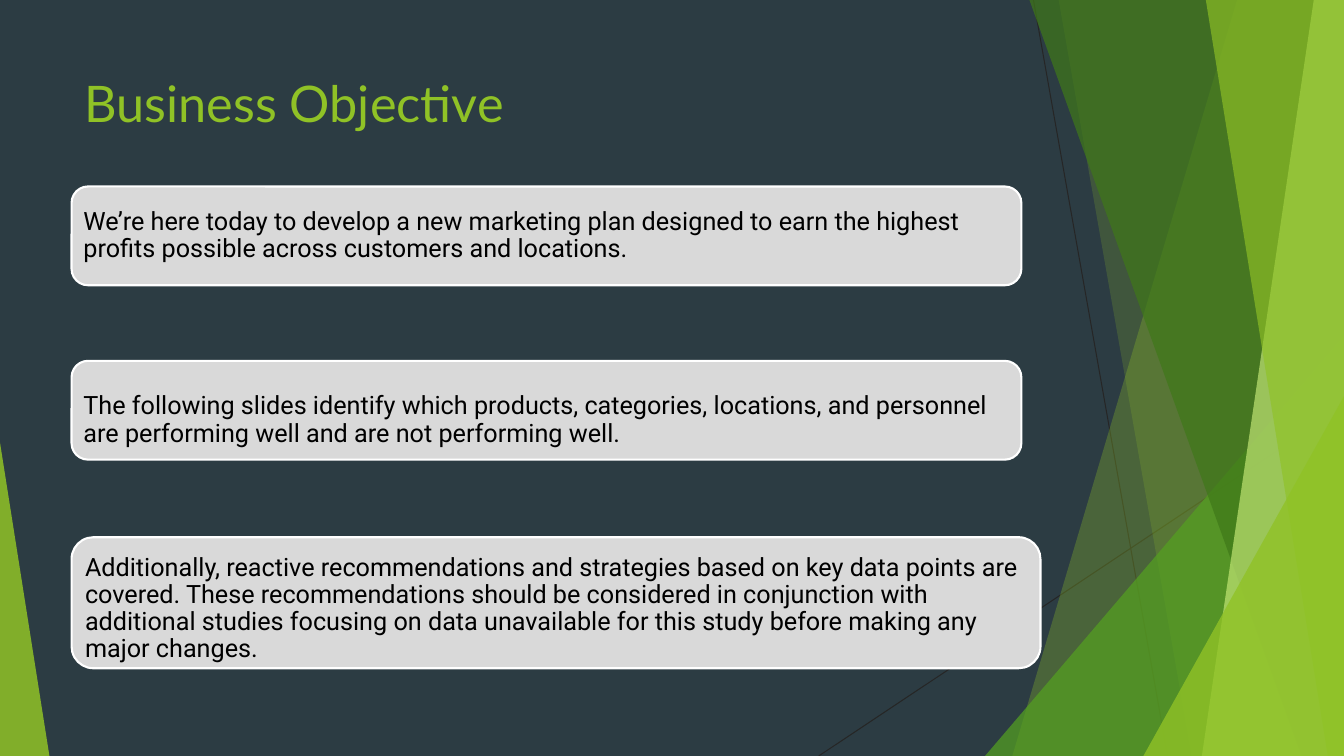
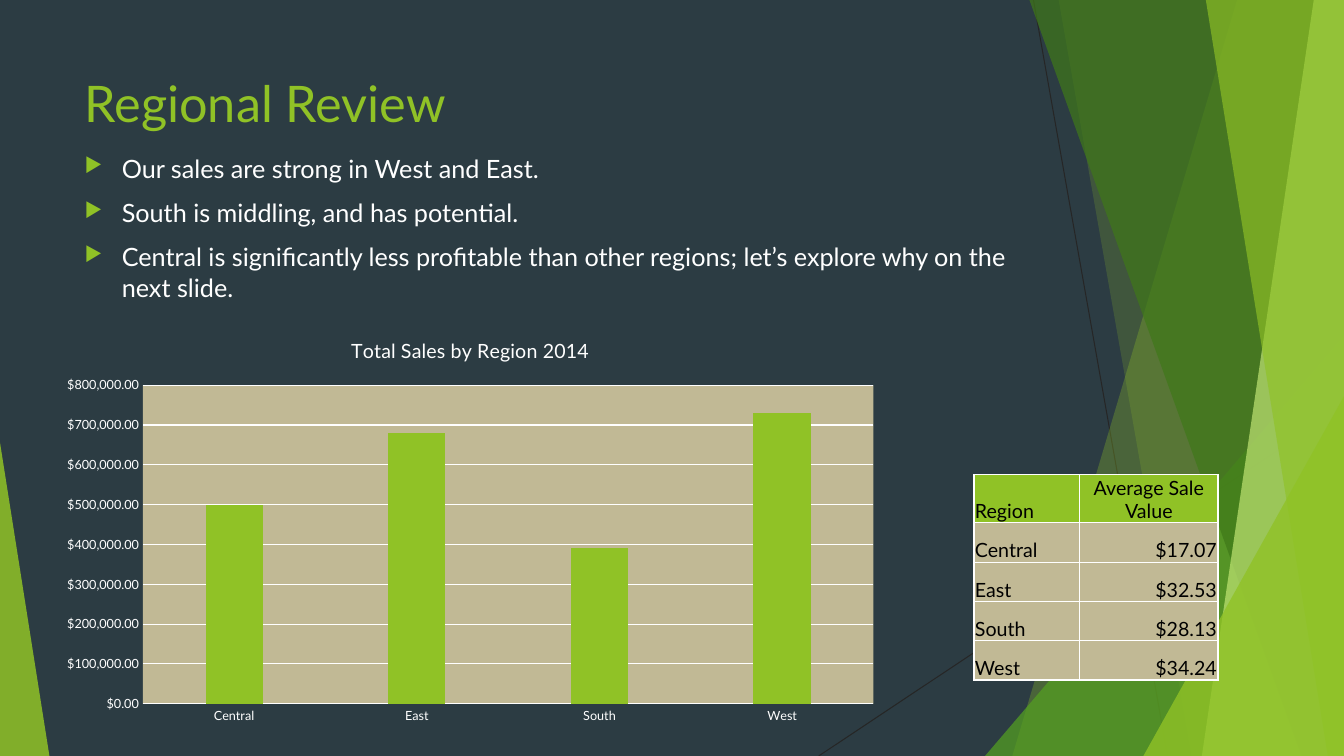
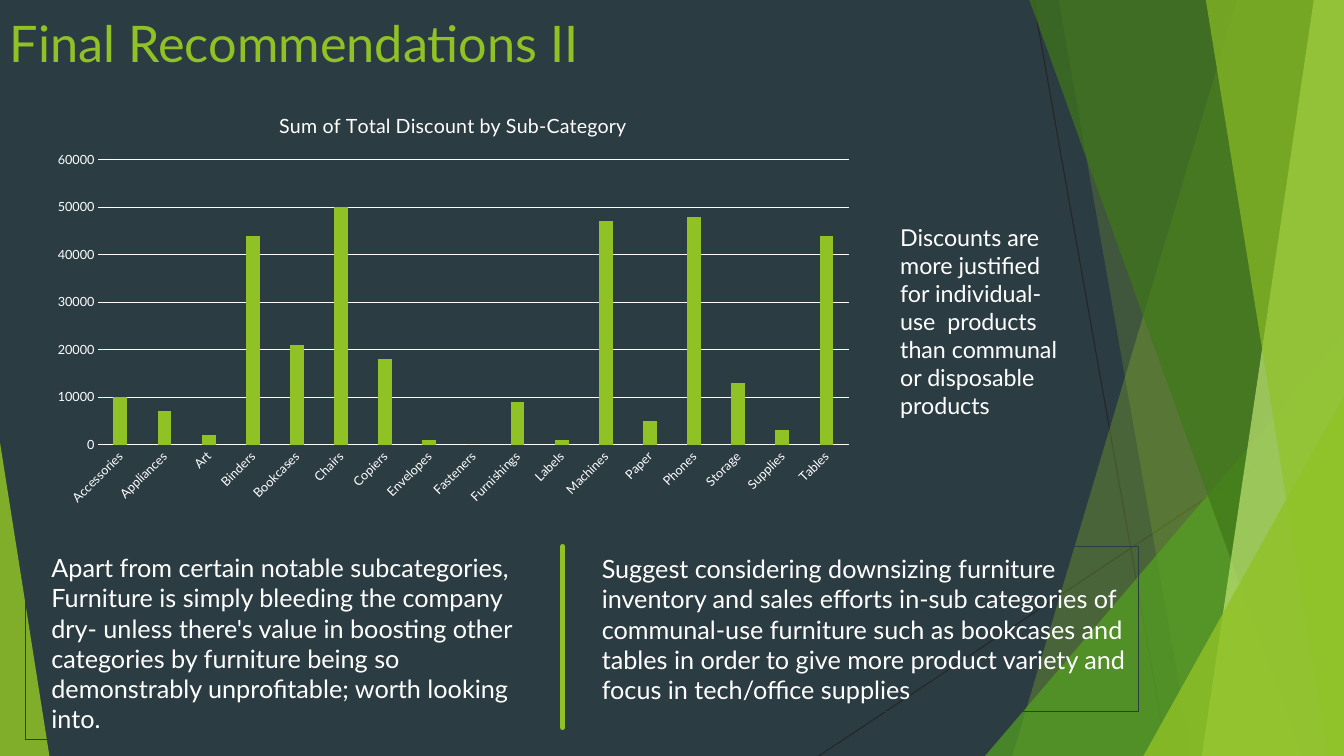
import pptx
import pptx.chart.data
import pptx.dml.color
import pptx.enum.chart
import pptx.enum.shapes
import pptx.enum.text
import pptx.oxml.ns
import pptx.util
from lxml import etree

Inches = pptx.util.Inches
Pt = pptx.util.Pt
RGBColor = pptx.dml.color.RGBColor
qn = pptx.oxml.ns.qn
Shape = pptx.enum.shapes.MSO_SHAPE
Straight = pptx.enum.shapes.MSO_CONNECTOR.STRAIGHT
Align = pptx.enum.text.PP_ALIGN
Anchor = pptx.enum.text.MSO_ANCHOR

SLATE = RGBColor(0x2C, 0x3C, 0x43)
GREEN = RGBColor(0x90, 0xC2, 0x26)
MID_GREEN = RGBColor(0x54, 0xA0, 0x21)
DARK_GREEN = RGBColor(0x3F, 0x78, 0x19)
PALE_GREEN = RGBColor(0xC0, 0xE4, 0x74)
TAN = RGBColor(0xC1, 0xB9, 0x95)
LIGHT_GRAY = RGBColor(0xD9, 0xD9, 0xD9)
CHARCOAL = RGBColor(0x26, 0x26, 0x26)
WHITE = RGBColor(0xFF, 0xFF, 0xFF)
BLACK = RGBColor(0, 0, 0)

WIDTH, HEIGHT = 13.33, 7.5
LATO, ROBOTO = "Lato", "Roboto"

# Facets in stacking order. Band: x at the top and at the bottom, reaching the
# right edge. Triangle: left, top, width and apex position, reaching the bottom.
FACETS = [
    ("band", (12.27, 10.04), GREEN, 30),
    ("band", (10.5, 11.82), GREEN, 20),
    ("triangle", (9.77, 3.33, 3.56, 1), MID_GREEN, 72),
    ("band", (10.21, 12.91), DARK_GREEN, 70),
    ("band", (13.03, 11.92), PALE_GREEN, 70),
    ("band", (11.96, 13.17), GREEN, 65),
    ("triangle", (11.34, 3.93, 1.99, 1), GREEN, 80),
    ("triangle", (0, 4.39, 0.49, 0), GREEN, 85),
]


def inches(*lengths):
    return [Inches(length) for length in lengths]


def set_font(font, size, color, name=LATO):
    font.name, font.size, font.bold = name, Pt(size), False
    font.color.rgb = color


def set_insets(frame, left, top, right, bottom):
    frame.margin_left, frame.margin_top, frame.margin_right, frame.margin_bottom = inches(
        left, top, right, bottom)


def add_rule(shapes, start, end, color, weight):
    rule = shapes.add_connector(Straight, *inches(*start, *end))
    rule.line.color.rgb = color
    rule.line.width = Pt(weight)
    etree.SubElement(rule._element.spPr, qn("a:effectLst"))
    return rule


def add_band(shapes, top_x, bottom_x):
    outline = shapes.build_freeform(*inches(top_x, 0))
    outline.add_line_segments(
        [inches(WIDTH, 0), inches(WIDTH, HEIGHT), inches(bottom_x, HEIGHT)])
    return outline.convert_to_shape()


def add_triangle(shapes, left, top, width, apex):
    triangle = shapes.add_shape(
        Shape.ISOSCELES_TRIANGLE, *inches(left, top, width, HEIGHT - top))
    triangle.adjustments[0] = apex
    return triangle


def add_backdrop(page):
    """Draw the green facets and thin lines behind every slide."""
    shapes = page.shapes.add_group_shape().shapes
    add_rule(shapes, (10.25, 0), (11.58, HEIGHT), CHARCOAL, 0.75)
    add_rule(shapes, (WIDTH, 4.03), (8.12, HEIGHT), CHARCOAL, 0.75)
    builders = {"band": add_band, "triangle": add_triangle}
    for kind, geometry, color, opacity in FACETS:
        facet = builders[kind](shapes, *geometry)
        facet.shadow.inherit = False
        facet.line.fill.background()
        facet.fill.solid()
        facet.fill.fore_color.rgb = color
        tint = facet._element.spPr.find(".//" + qn("a:srgbClr"))
        etree.SubElement(tint, qn("a:alpha"), val=str(opacity * 1000))


def add_bullet(para):
    properties = para._p.get_or_add_pPr()
    properties.set("marL", str(Inches(0.37)))
    properties.set("indent", str(Inches(-0.37)))
    color = etree.SubElement(properties, qn("a:buClr"))
    etree.SubElement(color, qn("a:srgbClr"), val=str(GREEN))
    etree.SubElement(properties, qn("a:buSzPct"), val="80000")
    etree.SubElement(properties, qn("a:buChar"), char="▶")


def add_text(page, box, lines, size, color=WHITE, bulleted=False, space_before=0):
    frame = page.shapes.add_textbox(*inches(*box)).text_frame
    frame.word_wrap = True
    for index, line in enumerate(lines):
        para = frame.paragraphs[0] if index == 0 else frame.add_paragraph()
        para.text = line
        if bulleted:
            add_bullet(para)
        para.space_before = Pt(space_before)
        set_font(para.font, size, color)


def add_page(deck, title, left=0.74, top=0.67):
    page = deck.slides.add_slide(deck.slide_layouts[6])
    add_backdrop(page)
    add_text(page, (left, top, 9.4, 1.44), [title], 36, GREEN)
    return page


def add_panel(page, kind, box, text, insets, line_color, line_weight):
    """Add an outlined, unfilled shape with left-aligned text; return it."""
    panel = page.shapes.add_shape(kind, *inches(*box))
    panel.shadow.inherit = False
    panel.fill.background()
    panel.line.color.rgb = line_color
    panel.line.width = Pt(line_weight)
    frame = panel.text_frame
    frame.word_wrap = True
    frame.vertical_anchor = Anchor.MIDDLE
    set_insets(frame, *insets)
    para = frame.paragraphs[0]
    para.text = text
    para.alignment = Align.LEFT
    set_font(para.font, 18, WHITE)
    return panel


def add_card(page, box, text, top_inset, bottom_inset):
    card = add_panel(page, Shape.ROUNDED_RECTANGLE, box, text,
                     (0.07, top_inset, 0.07, bottom_inset), WHITE, 1.5)
    card.fill.solid()
    card.fill.fore_color.rgb = LIGHT_GRAY
    para = card.text_frame.paragraphs[0]
    para.line_spacing = 0.9
    set_font(para.font, 18, BLACK, ROBOTO)


def add_column_chart(page, box, title, values, top_value, step, number_format,
                     plot_color=None, label_angle=0):
    data = pptx.chart.data.CategoryChartData()
    data.categories = list(values)
    data.add_series("Series 1", list(values.values()))
    chart = page.shapes.add_chart(
        pptx.enum.chart.XL_CHART_TYPE.COLUMN_CLUSTERED, *inches(*box), data).chart
    set_font(chart.font, 10, WHITE)
    chart.has_legend = False
    chart.has_title = True
    heading = chart.chart_title.text_frame.paragraphs[0]
    heading.text = title
    set_font(heading.font, 14, WHITE)
    chart.chart_title.include_in_layout = False

    plot = chart.plots[0]
    plot.gap_width, plot.overlap, plot.vary_by_categories = 219, -27, False
    columns = plot.series[0].format.fill
    columns.solid()
    columns.fore_color.rgb = GREEN

    category_axis, value_axis = chart.category_axis, chart.value_axis
    for axis in (category_axis, value_axis):
        axis.major_tick_mark = pptx.enum.chart.XL_TICK_MARK.NONE
        axis.minor_tick_mark = pptx.enum.chart.XL_TICK_MARK.NONE
        set_font(axis.tick_labels.font, 9, WHITE)
    value_axis.minimum_scale, value_axis.maximum_scale = 0, top_value
    value_axis.major_unit = step
    value_axis.tick_labels.number_format = number_format
    value_axis.tick_labels.number_format_is_linked = False
    value_axis.format.line.fill.background()
    for line in (category_axis.format.line, value_axis.major_gridlines.format.line):
        line.color.rgb = WHITE
        line.width = Pt(0.75)
    if label_angle:
        body = category_axis._element.find(qn("c:txPr")).find(qn("a:bodyPr"))
        body.set("rot", str(label_angle * 60000))
        body.set("vert", "horz")
    if plot_color is not None:
        area = chart._chartSpace.chart.plotArea
        fill = etree.SubElement(etree.SubElement(area, qn("c:spPr")), qn("a:solidFill"))
        etree.SubElement(fill, qn("a:srgbClr"), val=str(plot_color))


def set_borders(cell):
    properties = cell._tc.get_or_add_tcPr()
    for position, side in enumerate(("a:lnL", "a:lnR", "a:lnT", "a:lnB")):
        border = etree.Element(qn(side), w=str(Pt(1)))
        fill = etree.SubElement(border, qn("a:solidFill"))
        etree.SubElement(fill, qn("a:srgbClr"), val=str(WHITE))
        properties.insert(position, border)


def add_sales_table(page, left, top, rows):
    widths = (1.05, 1.37)
    heights = [0.47] + [0.39] * (len(rows) - 1)
    table = page.shapes.add_table(
        len(rows), len(widths), *inches(left, top, sum(widths), sum(heights))).table
    table.first_row = table.horz_banding = False
    for column, width in zip(table.columns, widths):
        column.width = Inches(width)
    for row_index, (row, height) in enumerate(zip(rows, heights)):
        table.rows[row_index].height = Inches(height)
        value_align = Align.RIGHT if row_index else Align.CENTER
        for column_index, text in enumerate(row):
            cell = table.cell(row_index, column_index)
            cell.fill.solid()
            cell.fill.fore_color.rgb = TAN if row_index else GREEN
            cell.vertical_anchor = Anchor.BOTTOM
            set_insets(cell, 0.01, 0.01, 0.01, 0)
            set_borders(cell)
            para = cell.text_frame.paragraphs[0]
            para.text = text
            para.alignment = value_align if column_index else Align.LEFT
            set_font(para.font, 14, BLACK)


def build_objective(deck):
    page = add_page(deck, "Business Objective")
    add_card(page, (0.71, 1.85, 9.42, 0.98),
             "We’re here today to develop a new marketing plan designed to earn the "
             "highest profits possible across customers and locations.", 0.07, 0.07)
    add_card(page, (0.71, 3.58, 9.42, 0.98),
             "The following slides identify which products, categories, locations, and "
             "personnel are performing well and are not performing well.", 0.23, 0.03)
    add_card(page, (0.71, 5.33, 9.61, 1.3),
             "Additionally, reactive recommendations and strategies based on key data "
             "points are covered. These recommendations should be considered in "
             "conjunction with additional studies focusing on data unavailable for this "
             "study before making any major changes.", 0.12, 0)


def build_regions(deck):
    page = add_page(deck, "Regional Review")
    add_text(page, (0.74, 1.47, 9.4, 1.7), [
        "Our sales are strong in West and East.",
        "South is middling, and has potential.",
        "Central is significantly less profitable than other regions; let’s explore "
        "why on the next slide.",
    ], 18, bulleted=True, space_before=10)
    sales = {"Central": 500000, "East": 680000, "South": 390000, "West": 730000}
    add_column_chart(page, (0.5, 3.17, 8.33, 4.09), "Total Sales by Region 2014",
                     sales, 800000, 100000, '"$"#,##0.00', plot_color=TAN)
    add_sales_table(page, 9.66, 4.71, [
        ("Region", "Average Sale Value"),
        ("Central", "$17.07"),
        ("East", "$32.53"),
        ("South", "$28.13"),
        ("West", "$34.24"),
    ])


def build_recommendations(deck):
    page = add_page(deck, "Final Recommendations II", 0, 0.07)
    add_panel(page, Shape.RECTANGLE, (0.25, 5.42, 5.08, 1.92),
              "Apart from certain notable subcategories, Furniture is simply bleeding the "
              "company dry- unless there's value in boosting other categories by furniture "
              "being so demonstrably unprofitable; worth looking into.",
              (0.26, 0.05, 0.1, 0.05), SLATE, 0.75)
    add_panel(page, Shape.RECTANGLE, (5.87, 5.42, 5.42, 1.64),
              "Suggest considering downsizing furniture inventory and sales efforts in-sub "
              "categories of communal-use furniture such as bookcases and tables in order "
              "to give more product variety and focus in tech/office supplies",
              (0.1, 0.05, 0.1, 0.05), SLATE, 0.75)
    discounts = {
        "Accessories": 10000, "Appliances": 7000, "Art": 2000, "Binders": 44000,
        "Bookcases": 21000, "Chairs": 50000, "Copiers": 18000, "Envelopes": 1000,
        "Fasteners": 0, "Furnishings": 9000, "Labels": 1000, "Machines": 47000,
        "Paper": 5000, "Phones": 48000, "Storage": 13000, "Supplies": 3000,
        "Tables": 44000,
    }
    add_column_chart(page, (0.41, 0.93, 8.17, 4.17),
                     "Sum of Total Discount by Sub-Category",
                     discounts, 60000, 10000, "General", label_angle=-45)
    add_text(page, (8.83, 2.17, 1.88, 2), [
        "Discounts are more justified for individual-use  products than communal or "
        "disposable products"], 16.6, space_before=10)
    divider = add_rule(page.shapes, (5.58, 5.42), (5.58, 7.22), GREEN, 3.25)
    divider.get_or_add_ln().set("cap", "rnd")


def main():
    deck = pptx.Presentation()
    deck.slide_width, deck.slide_height = inches(WIDTH, HEIGHT)
    background = deck.slide_master.background.fill
    background.solid()
    background.fore_color.rgb = SLATE
    build_objective(deck)
    build_regions(deck)
    build_recommendations(deck)
    deck.save("out.pptx")


if __name__ == "__main__":
    main()
